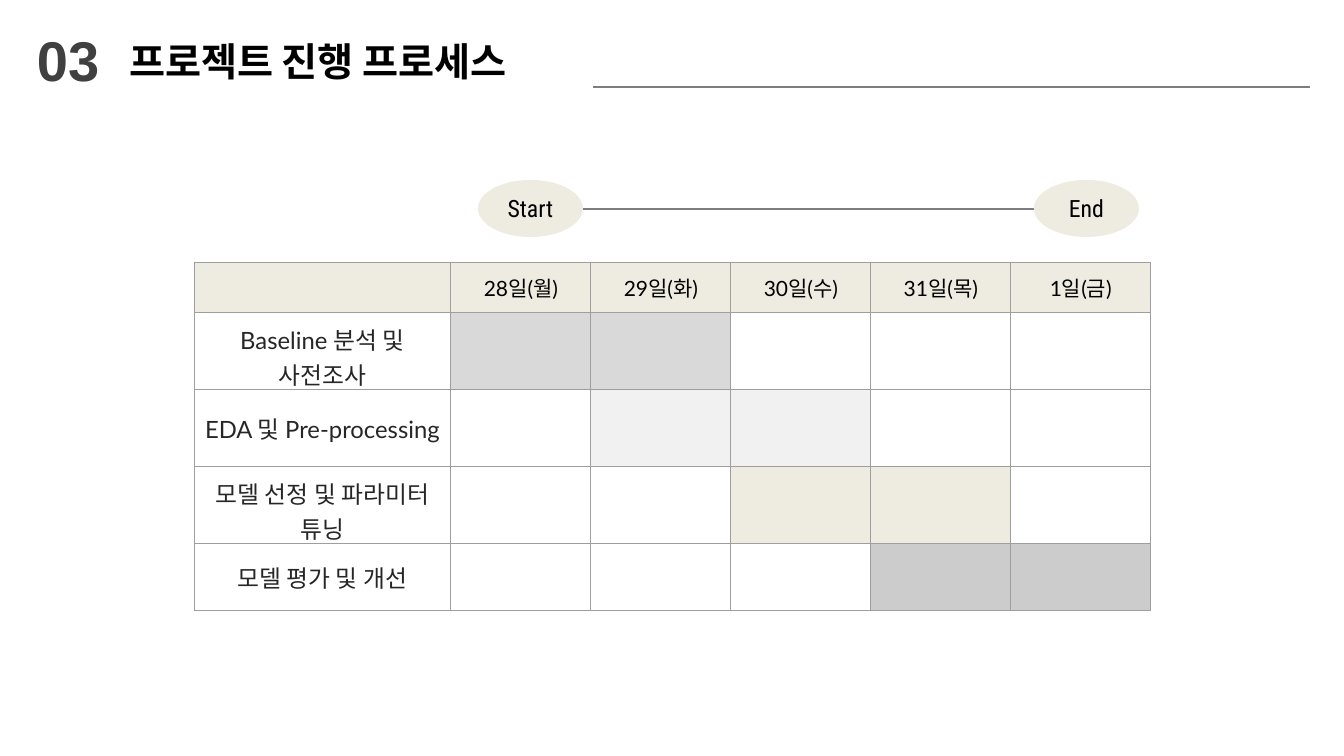
"""Build the project process slide with its day-by-day schedule."""
import dataclasses

import pptx
import pptx.dml.color
import pptx.enum.shapes
import pptx.enum.text
import pptx.oxml
import pptx.oxml.ns
import pptx.util

NUMBER = "03"
HEADING = "프로젝트 진행 프로세스"
DAYS = ["28일(월)", "29일(화)", "30일(수)", "31일(목)", "1일(금)"]
TASKS = [
    ("Baseline 분석 및 사전조사", (1, 2), "D9D9D9"),
    ("EDA 및 Pre-processing", (2, 3), "F1F1F1"),
    ("모델 선정 및 파라미터 튜닝", (3, 4), "EEECE1"),
    ("모델 평가 및 개선", (4, 5), "CCCCCC"),
]
ENDS = [("Start", 478), ("End", 1034)]
RULES = [(583, 1034, 209), (593, 1310, 87)]
COLS = [257] + [140] * len(DAYS)
ROWS = [50, 77, 77, 77, 67]
PX = 914400 / 100.8


@dataclasses.dataclass
class Theme:
    """Colours, fonts and type sizes."""
    ink: str = "000000"
    soft: str = "262626"
    dark: str = "404040"
    sand: str = "EEECE1"
    white: str = "FFFFFF"
    rule: str = "7E7E7E"
    grid: str = "9E9E9E"
    num: tuple = ("Arial", 40)
    head: tuple = ("Calibri", 28)
    oval: tuple = ("Roboto Condensed", 17)
    day: tuple = ("Lato", 15)
    task: tuple = ("Lato", 17)


THEME = Theme()
ALIGN = pptx.enum.text.PP_ALIGN
ANCHOR = pptx.enum.text.MSO_ANCHOR


def px(*sizes):
    return [round(size * PX) for size in sizes]


def rgb(code):
    return pptx.dml.color.RGBColor.from_string(code)


def paint(fill, code):
    fill.solid()
    fill.fore_color.rgb = rgb(code)


def write(frame, text, face, color, bold=False, align=ALIGN.CENTER):
    para = frame.paragraphs[0]
    para.alignment = align
    run = para.add_run()
    run.text = text
    run.font.name, size = face
    run.font.size = pptx.util.Pt(size)
    run.font.bold = bold
    run.font.color.rgb = rgb(color)


def pad(item, *sides):
    item.margin_left, item.margin_top, item.margin_right, item.margin_bottom = px(*sides)


def add_heads(slide):
    title = slide.shapes.title
    title.left, title.top, title.width, title.height = px(37, 25, 82, 70)
    box = slide.shapes.add_textbox(*px(119, 27, 408, 68))
    for shape, sides in ((title, (0, 1, 0, 0)), (box, (10, 10, 10, 10))):
        frame = shape.text_frame
        frame.word_wrap = True
        frame.auto_size = pptx.enum.text.MSO_AUTO_SIZE.SHAPE_TO_FIT_TEXT
        frame.vertical_anchor = ANCHOR.TOP
        pad(frame, *sides)
    write(title.text_frame, NUMBER, THEME.num, THEME.dark, True, ALIGN.LEFT)
    write(box.text_frame, HEADING, THEME.head, THEME.ink, True, ALIGN.LEFT)


def add_rule(slide, left, right, top):
    kind = pptx.enum.shapes.MSO_CONNECTOR.STRAIGHT
    line = slide.shapes.add_connector(kind, *px(left, top, right, top))
    line.line.color.rgb = rgb(THEME.rule)
    line.line.width = pptx.util.Pt(1)
    props = line._element.spPr
    props.append(props.makeelement(pptx.oxml.ns.qn("a:effectLst"), {}))


def add_oval(slide, text, left):
    kind = pptx.enum.shapes.MSO_SHAPE.OVAL
    oval = slide.shapes.add_shape(kind, *px(left, 180, 105, 57))
    oval.shadow.inherit = False
    paint(oval.fill, THEME.sand)
    oval.line.fill.background()
    oval.text_frame.vertical_anchor = ANCHOR.MIDDLE
    pad(oval.text_frame, 10, 10, 10, 10)
    write(oval.text_frame, text, THEME.oval, THEME.ink)


def edge(cell):
    props = cell._tc.get_or_add_tcPr()
    for spot, side in enumerate(("lnL", "lnR", "lnT", "lnB")):
        props.insert(spot, pptx.oxml.parse_xml(
            f'<a:{side} {pptx.oxml.ns.nsdecls("a")} w="9525"><a:solidFill>'
            f'<a:srgbClr val="{THEME.grid}"/></a:solidFill></a:{side}>'))


def label(cell, text, face, color):
    cell.vertical_anchor = ANCHOR.MIDDLE
    pad(cell, 10, 10, 10, 10)
    write(cell.text_frame, text, face, color)


def add_plan(slide):
    spot = px(194, 262, sum(COLS), sum(ROWS))
    table = slide.shapes.add_table(len(ROWS), len(COLS), *spot).table
    table.first_row = table.horz_banding = False
    for col, width in zip(table.columns, px(*COLS)):
        col.width = width
    for row, height in zip(table.rows, px(*ROWS)):
        row.height = height
    for cell in table.iter_cells():
        paint(cell.fill, THEME.white)
        edge(cell)
    for cell in table.rows[0].cells:
        paint(cell.fill, THEME.sand)
    for col, day in enumerate(DAYS, 1):
        label(table.cell(0, col), day, THEME.day, THEME.ink)
    for row, (task, span, color) in enumerate(TASKS, 1):
        label(table.cell(row, 0), task, THEME.task, THEME.soft)
        for col in span:
            paint(table.cell(row, col).fill, color)


def main():
    deck = pptx.Presentation()
    deck.slide_width, deck.slide_height = px(1344, 756)
    slide = deck.slides.add_slide(deck.slide_layouts[5])
    add_heads(slide)
    for rule in RULES:
        add_rule(slide, *rule)
    for end in ENDS:
        add_oval(slide, *end)
    add_plan(slide)
    deck.save("out.pptx")


if __name__ == "__main__":
    main()
